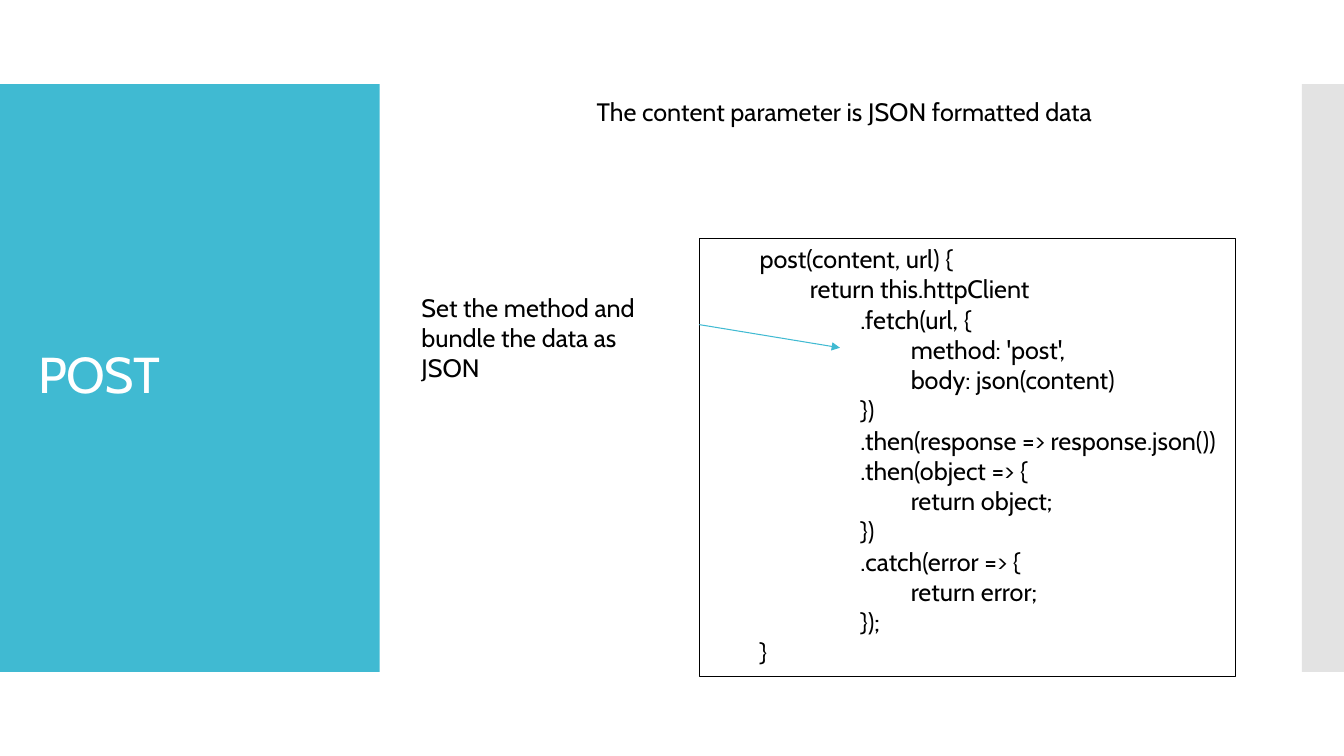
"""Build the POST slide: a side title, two captions and a framed code listing."""
from dataclasses import dataclass
from typing import Any, Optional

from lxml import etree
from pptx import Presentation
from pptx import util as u
from pptx.dml.color import RGBColor
from pptx.enum import shapes, text
from pptx.oxml import ns

COLUMNS, ROWS = 160, 90
CELL = u.Inches(7.5) / ROWS
FONT = "Cabin"
TEAL = RGBColor(0x40, 0xBA, 0xD2)
GREY = RGBColor(0xC8, 0xC8, 0xC8)
BLACK = RGBColor(0x00, 0x00, 0x00)
WHITE = RGBColor(0xFF, 0xFF, 0xFF)


@dataclass(frozen=True)
class Area:
    """A rectangle measured in grid columns and rows."""
    column: float
    row: float
    columns: float
    rows: float

    def lengths(self) -> tuple[int, ...]:
        """Return left, top, width and height in EMU."""
        return tuple(cells(n) for n in (self.column, self.row, self.columns, self.rows))


@dataclass(frozen=True)
class Panel:
    """A plain coloured band at the slide's edge."""
    area: Area
    color: RGBColor
    opacity: Optional[int] = None


@dataclass(frozen=True)
class TextBlock:
    """A text box holding one paragraph per entry."""
    area: Area
    paragraphs: tuple[str, ...]
    framed: bool = False


CODE = (
    (1, "post(content, url) {"),
    (2, "return this.httpClient"),
    (3, ".fetch(url, {"),
    (4, "method: 'post',"),
    (4, "body: json(content)"),
    (3, "})"),
    (3, ".then(response => response.json())"),
    (3, ".then(object => {"),
    (4, "return object;"),
    (3, "})"),
    (3, ".catch(error => {"),
    (4, "return error;"),
    (3, "});"),
    (1, "}"),
)
PANELS = (
    Panel(Area(0, 10, 45.2, 70), TEAL),
    Panel(Area(155, 10, 5, 70), GREY, 50),
)
TITLE_AREA = Area(3.4, 14.75, 38.6, 60.4)
BLOCKS = (
    TextBlock(Area(83.25, 28.4, 63.8, 52.1),
              tuple("\t" * depth + line for depth, line in CODE), framed=True),
    TextBlock(Area(69.85, 10.9, 63.4, 4.85),
              ("The content parameter is JSON formatted data",)),
    TextBlock(Area(49, 34.2, 33.1, 8.5),
              ("Set the method and \nbundle the data as JSON",)),
)
ARROW = ((83.25, 38.65), (100, 41.4))
BODY_FONT = {"name": FONT, "size": u.Pt(18)}
TITLE_FONT = {"name": FONT, "size": u.Pt(36)}
FRAME_FORMAT = {"word_wrap": True, "auto_size": text.MSO_AUTO_SIZE.NONE}


def cells(count: float) -> int:
    """Convert grid cells to EMU."""
    return round(count * CELL)


def apply(target: Any, values: dict[str, Any]) -> None:
    """Set each named attribute on the target."""
    for name, value in values.items():
        setattr(target, name, value)


def format_font(font: Any, values: dict[str, Any], color: RGBColor) -> None:
    """Apply font values and colour."""
    apply(font, values)
    font.color.rgb = color


def draw_panel(slide: Any, panel: Panel) -> None:
    """Draw a borderless band, translucent when an opacity is given."""
    shape = slide.shapes.add_shape(shapes.MSO_SHAPE.RECTANGLE, *panel.area.lengths())
    shape.shadow.inherit = False
    shape.fill.solid()
    shape.fill.fore_color.rgb = panel.color
    shape.line.fill.background()
    if panel.opacity is not None:
        color = shape.element.spPr.find(".//" + ns.qn("a:srgbClr"))
        etree.SubElement(color, ns.qn("a:alpha"), val=str(panel.opacity * 1000))


def draw_title(slide: Any, words: str) -> None:
    """Place the title placeholder in front of the panels."""
    title = slide.shapes.title
    slide.shapes.element.append(title.element)
    apply(title, dict(zip(("left", "top", "width", "height"), TITLE_AREA.lengths())))
    apply(title.text_frame, FRAME_FORMAT | {"vertical_anchor": text.MSO_ANCHOR.MIDDLE})
    paragraph = title.text_frame.paragraphs[0]
    paragraph.text = words
    apply(paragraph, {"alignment": text.PP_ALIGN.LEFT, "line_spacing": 0.9})
    run = paragraph.runs[0]
    format_font(run.font, TITLE_FONT, WHITE)
    run._r.get_or_add_rPr().set("spc", "-60")


def draw_block(slide: Any, block: TextBlock) -> None:
    """Draw a text box, with a thin outline when framed."""
    shape = slide.shapes.add_textbox(*block.area.lengths())
    apply(shape.text_frame, FRAME_FORMAT)
    shape.text_frame.text = block.paragraphs[0]
    for words in block.paragraphs[1:]:
        shape.text_frame.add_paragraph().text = words
    for paragraph in shape.text_frame.paragraphs:
        for run in paragraph.runs:
            format_font(run.font, BODY_FONT, BLACK)
    if block.framed:
        shape.line.color.rgb = BLACK
        shape.line.width = u.Pt(0.75)


def draw_arrow(slide: Any) -> None:
    """Draw the arrow that points into the code."""
    ends = [cells(n) for point in ARROW for n in point]
    arrow = slide.shapes.add_connector(shapes.MSO_CONNECTOR.STRAIGHT, *ends)
    arrow.line.color.rgb = TEAL
    arrow.line.width = u.Pt(0.75)
    outline = arrow.element.spPr.find(ns.qn("a:ln"))
    etree.SubElement(outline, ns.qn("a:tailEnd"), type="triangle")
    etree.SubElement(arrow.element.spPr, ns.qn("a:effectLst"))


def main() -> None:
    """Assemble and save the presentation."""
    presentation = Presentation()
    presentation.slide_width = cells(COLUMNS)
    presentation.slide_height = cells(ROWS)
    slide = presentation.slides.add_slide(presentation.slide_layouts[5])
    for panel in PANELS:
        draw_panel(slide, panel)
    draw_title(slide, "POST")
    for block in BLOCKS:
        draw_block(slide, block)
    draw_arrow(slide)
    presentation.save("out.pptx")


main()
